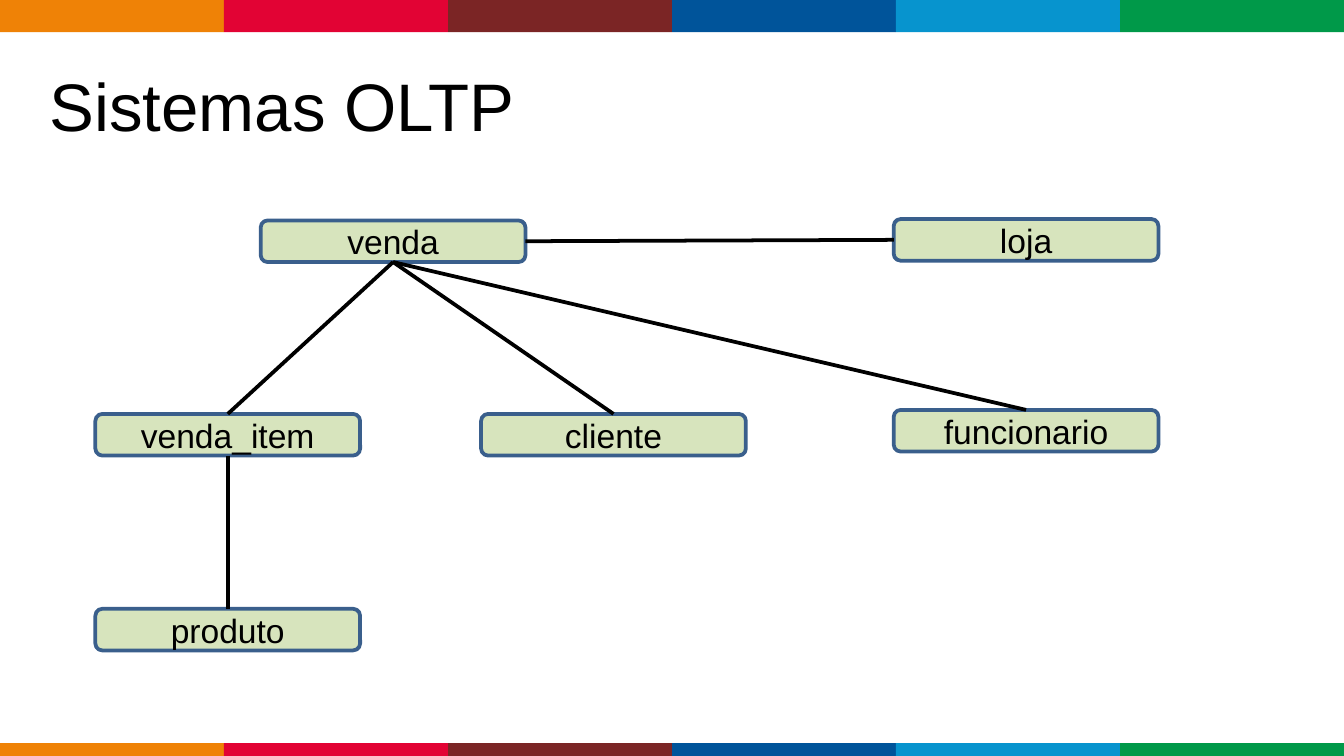
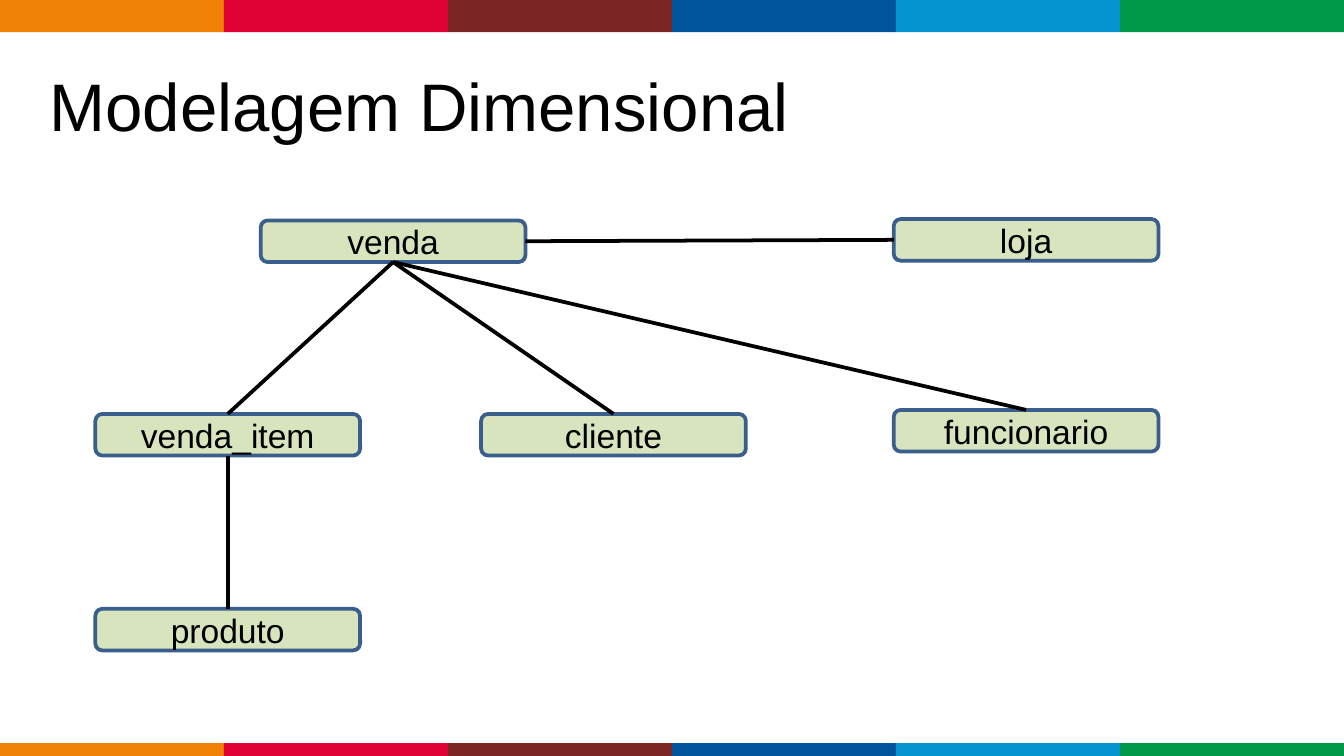
"""Build two slides that show a sales data model under different titles."""
from lxml.etree import SubElement
from pptx import Presentation
from pptx.dml.color import RGBColor
from pptx.enum.shapes import MSO_CONNECTOR, MSO_SHAPE
from pptx.enum.text import MSO_ANCHOR, PP_ALIGN
from pptx.oxml.ns import qn
from pptx.util import Inches, Pt

BLACK = RGBColor(0x00, 0x00, 0x00)
TABLE_FILL = RGBColor(0xD7, 0xE4, 0xBD)
TABLE_LINE = RGBColor(0x3A, 0x5F, 0x8C)
BAND_COLORS = [
    RGBColor(0xEF, 0x82, 0x06),
    RGBColor(0xE2, 0x03, 0x34),
    RGBColor(0x7B, 0x25, 0x25),
    RGBColor(0x00, 0x54, 0x9A),
    RGBColor(0x07, 0x94, 0xCE),
    RGBColor(0x00, 0x99, 0x49),
]
BANDS = [(0, 0.24), (5.53, 0.1)]
SLIDE_WIDTH = 10
BAND_WIDTH = SLIDE_WIDTH / len(BAND_COLORS)
TABLE_WIDTH, TABLE_HEIGHT = 1.97, 0.31
TITLES = ["Sistemas OLTP", "Modelagem Dimensional"]
TABLES = {
    "venda": (1.94, 1.64),
    "venda_item": (0.71, 3.08),
    "cliente": (3.58, 3.08),
    "funcionario": (6.65, 3.05),
    "loja": (6.65, 1.63),
    "produto": (0.71, 4.53),
}
TOP, LEFT, BOTTOM, RIGHT = range(4)
RELATIONS = [
    ("venda", RIGHT, "loja", LEFT),
    ("venda", BOTTOM, "cliente", TOP),
    ("venda", BOTTOM, "funcionario", TOP),
    ("venda", BOTTOM, "venda_item", TOP),
    ("venda_item", BOTTOM, "produto", TOP),
]


def write_text(shape, text, size, align=PP_ALIGN.LEFT):
    """Write one vertically centred paragraph into a shape."""
    frame = shape.text_frame
    frame.word_wrap = True
    frame.vertical_anchor = MSO_ANCHOR.MIDDLE
    paragraph = frame.paragraphs[0]
    paragraph.text = text
    paragraph.alignment = align
    paragraph.font.name = "Arial"
    paragraph.font.size = Pt(size)
    paragraph.font.color.rgb = BLACK


presentation = Presentation()
presentation.slide_width = Inches(SLIDE_WIDTH)
presentation.slide_height = Inches(SLIDE_WIDTH * 9 / 16)

for title in TITLES:
    slide = presentation.slides.add_slide(presentation.slide_layouts[6])

    for band_top, band_height in BANDS:
        for index, color in enumerate(BAND_COLORS):
            band = slide.shapes.add_shape(
                MSO_SHAPE.RECTANGLE, Inches(index * BAND_WIDTH), Inches(band_top),
                Inches(BAND_WIDTH), Inches(band_height))
            band.shadow.inherit = False
            band.fill.solid()
            band.fill.fore_color.rgb = color
            band.line.fill.background()

    title_box = slide.shapes.add_textbox(
        Inches(0.27), Inches(0.4), Inches(6.22), Inches(0.76))
    write_text(title_box, title, size=36)

    table_shapes = {}
    for name, (left, top) in TABLES.items():
        shape = slide.shapes.add_shape(
            MSO_SHAPE.ROUNDED_RECTANGLE, Inches(left), Inches(top),
            Inches(TABLE_WIDTH), Inches(TABLE_HEIGHT))
        shape.shadow.inherit = False
        shape.fill.solid()
        shape.fill.fore_color.rgb = TABLE_FILL
        shape.line.color.rgb = TABLE_LINE
        shape.line.width = Pt(2)
        write_text(shape, name, size=18, align=PP_ALIGN.CENTER)
        table_shapes[name] = shape

    for source, source_side, target, target_side in RELATIONS:
        connector = slide.shapes.add_connector(MSO_CONNECTOR.STRAIGHT, 0, 0, 0, 0)
        connector.begin_connect(table_shapes[source], source_side)
        connector.end_connect(table_shapes[target], target_side)
        connector.line.color.rgb = BLACK
        connector.line.width = Pt(2)
        SubElement(connector._element.spPr, qn("a:effectLst"))

presentation.save("out.pptx")
